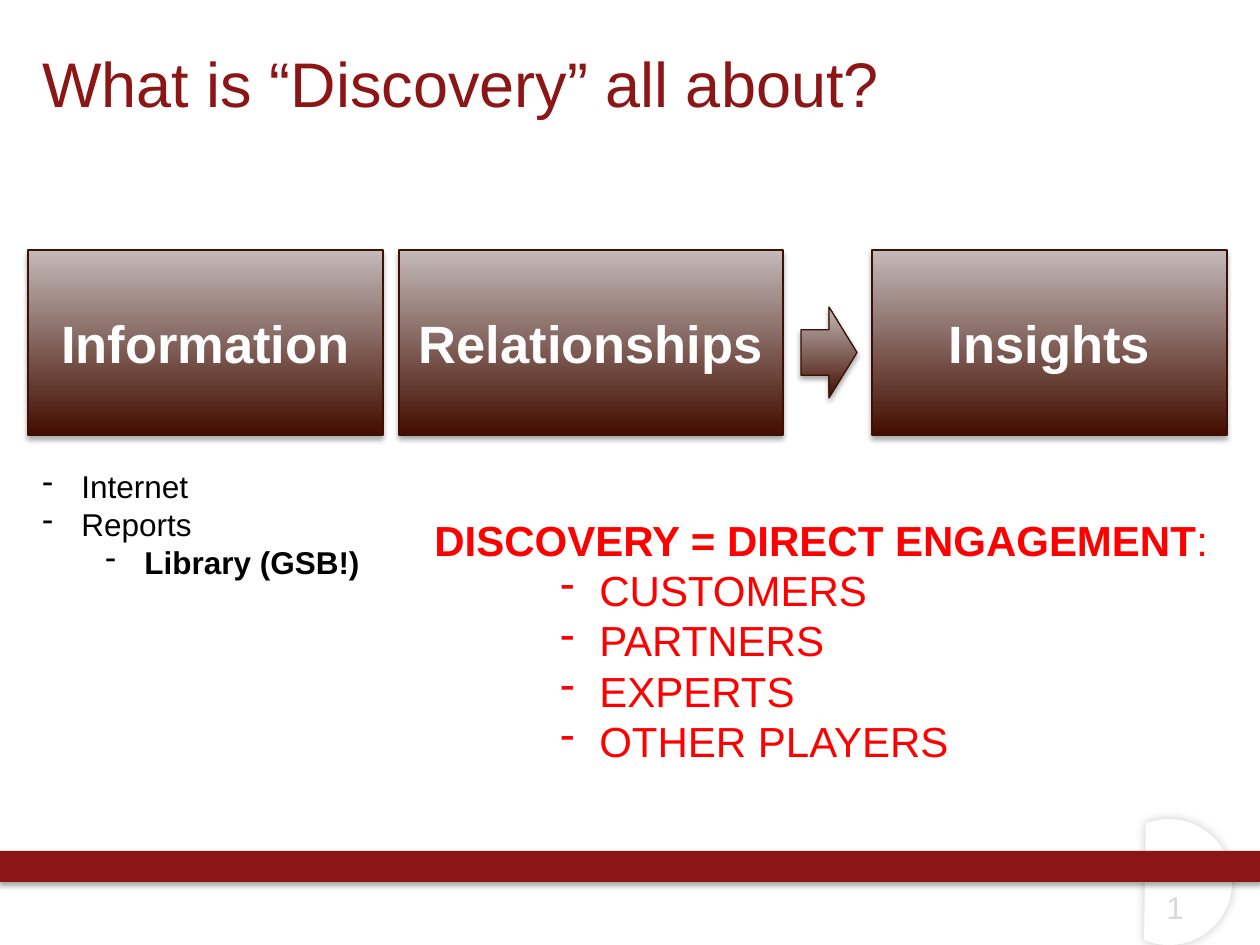
import pptx
import pptx.dml.color
import pptx.enum.shapes
import pptx.enum.text
import pptx.oxml
import pptx.oxml.ns
import pptx.util

SCALE = 914400 / 126
INK = {
    "brand": "8C1515", "dark": "430D00", "light": "C3BAB9", "edge": "3C1006",
    "white": "FFFFFF", "black": "000000", "grey": "D9D9D9", "red": "FF0000",
}
FONT = "Arial"
HANG, STEP = 39, 63
SOFT = (35, 3.1, 1.8, 90)
HALO = (20, 6, 0, 315)
KIND = pptx.enum.shapes.MSO_SHAPE
ANCHOR = pptx.enum.text.MSO_ANCHOR


def px(n):
    return pptx.util.Emu(round(n * SCALE))


def rgb(name):
    return pptx.dml.color.RGBColor.from_string(INK[name])


class Deck:
    """Holds the style and the current slide; boxes are (left, top, width, height)."""

    def __init__(self):
        self.file = pptx.Presentation()
        self.file.slide_width, self.file.slide_height = px(1260), px(945)
        self.slide = self.file.slides.add_slide(self.file.slide_layouts[6])

    def style(self, run, size, color, bold=False):
        font = run.font
        font.name, font.size, font.bold = FONT, pptx.util.Pt(size), bold
        font.color.rgb = rgb(color)

    def shade(self, shape, alpha, blur, dist, angle):
        """Give the shape an outer shadow."""
        shape.shadow.inherit = False
        effects = shape._element.spPr.find(pptx.oxml.ns.qn("a:effectLst"))
        effects.append(pptx.oxml.parse_xml(
            f'<a:outerShdw {pptx.oxml.ns.nsdecls("a")} blurRad="{pptx.util.Pt(blur)}" '
            f'dist="{pptx.util.Pt(dist)}" dir="{angle * 60000}" rotWithShape="0">'
            f'<a:srgbClr val="{INK["black"]}"><a:alpha val="{alpha * 1000}"/></a:srgbClr>'
            '</a:outerShdw>'))

    def shape(self, kind, box, shadow=SOFT):
        shape = self.slide.shapes.add_shape(kind, *map(px, box))
        self.shade(shape, *shadow)
        return shape

    def flat(self, kind, box, color, shadow=SOFT):
        shape = self.shape(kind, box, shadow)
        shape.fill.solid()
        shape.fill.fore_color.rgb = rgb(color)
        shape.line.fill.background()
        return shape

    def glossy(self, kind, box):
        """Add an outlined shape that fades from dark at the foot to light."""
        shape = self.shape(kind, box)
        shape.fill.gradient()
        shape.fill.gradient_angle = 90
        for stop, color in zip(shape.fill.gradient_stops, ("dark", "light")):
            stop.color.rgb = rgb(color)
        shape.line.color.rgb = rgb("edge")
        shape.line.width = pptx.util.Pt(0.75)
        return shape

    def card(self, box, text):
        frame = self.glossy(KIND.RECTANGLE, box).text_frame
        frame.text = text
        frame.vertical_anchor = ANCHOR.MIDDLE
        para = frame.paragraphs[0]
        para.alignment = pptx.enum.text.PP_ALIGN.CENTER
        self.style(para.runs[0], 30, "white", True)

    def label(self, box, text, size, color, anchor=ANCHOR.TOP):
        frame = self.slide.shapes.add_textbox(*map(px, box)).text_frame
        frame.word_wrap = True
        frame.vertical_anchor = anchor
        frame.text = text
        self.style(frame.paragraphs[0].runs[0], size, color)

    def dash(self, para, level):
        """Turn the paragraph into a dashed item with a hanging indent."""
        para.level = level
        props = para._p.get_or_add_pPr()
        props.set("marL", str(px(HANG + STEP * level)))
        props.set("indent", str(-px(HANG)))
        props.append(pptx.oxml.parse_xml(
            f'<a:buChar {pptx.oxml.ns.nsdecls("a")} char="-"/>'))

    def notes(self, box, rows, size, color):
        """Add rows of (level, runs); a level of None means no dash."""
        frame = self.slide.shapes.add_textbox(*map(px, box)).text_frame
        frame.word_wrap = False
        frame.auto_size = pptx.enum.text.MSO_AUTO_SIZE.SHAPE_TO_FIT_TEXT
        for i, (level, runs) in enumerate(rows):
            para = frame.add_paragraph() if i else frame.paragraphs[0]
            para.line_spacing = pptx.util.Pt(size * 1.2)
            if level is not None:
                self.dash(para, level)
            for text, bold in runs:
                run = para.add_run()
                run.text = text
                self.style(run, size, color, bold)


def main():
    deck = Deck()
    deck.flat(KIND.CHORD, (1106, 819, 126, 126), "white", HALO).rotation = 203.3
    deck.flat(KIND.RECTANGLE, (0, 851, 1260, 31), "brand")
    deck.label((1154, 882, 64, 63), "1", 18, "grey")
    deck.label((30, 1, 1260, 125), "What is “Discovery” all about?", 36, "brand",
               ANCHOR.BOTTOM)

    for left, width, text in ((28, 355, "Information"), (399, 384, "Relationships"),
                              (872, 355, "Insights")):
        deck.card((left, 250, width, 185), text)
    deck.glossy(KIND.RIGHT_ARROW, (801, 307, 56, 91))

    deck.notes((30, 461, 346, 127), [
        (0, [("Internet", False)]),
        (0, [("Reports", False)]),
        (1, [("Library (GSB!)", True)]),
    ], 18, "black")
    groups = ("CUSTOMERS", "PARTNERS", "EXPERTS", "OTHER PLAYERS")
    deck.notes((422, 508, 806, 267), [
        (None, [("DISCOVERY = DIRECT ENGAGEMENT", True), (":", False)]),
        *((2, [(group, False)]) for group in groups),
    ], 24, "red")
    deck.file.save("out.pptx")


if __name__ == "__main__":
    main()
